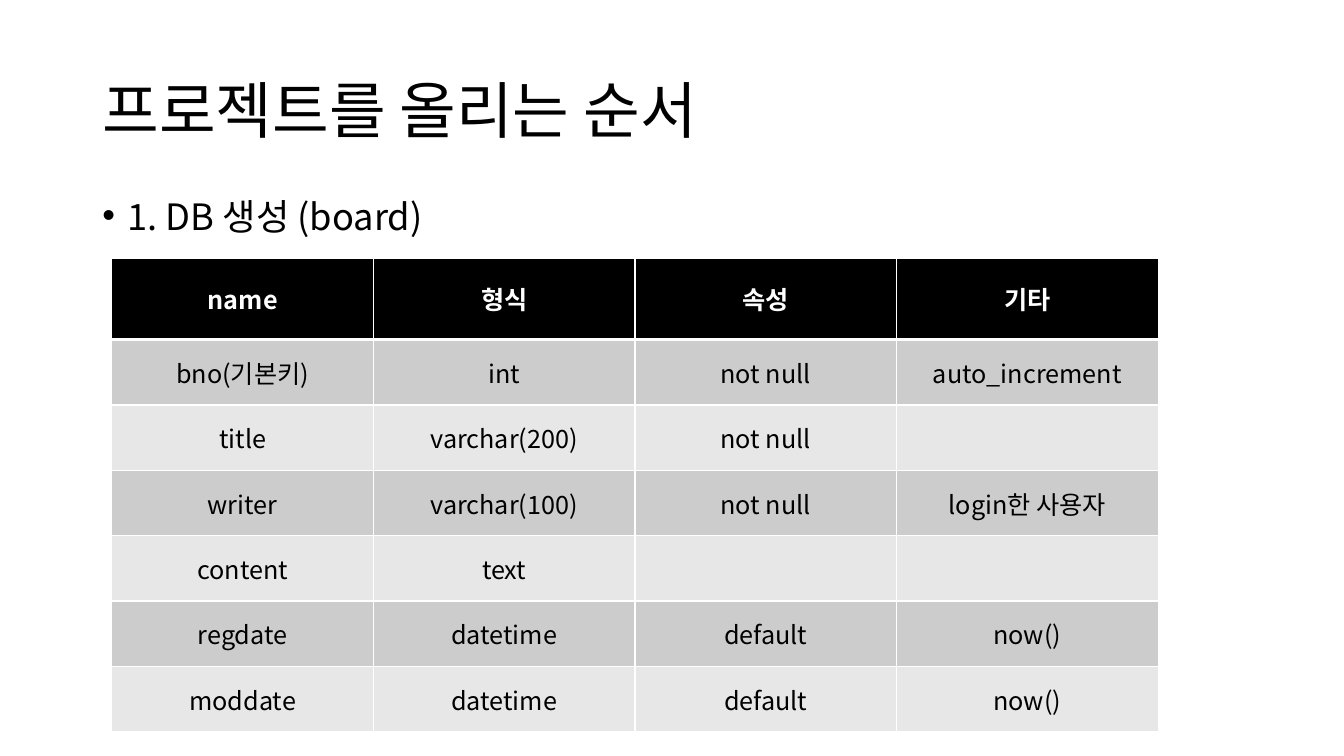
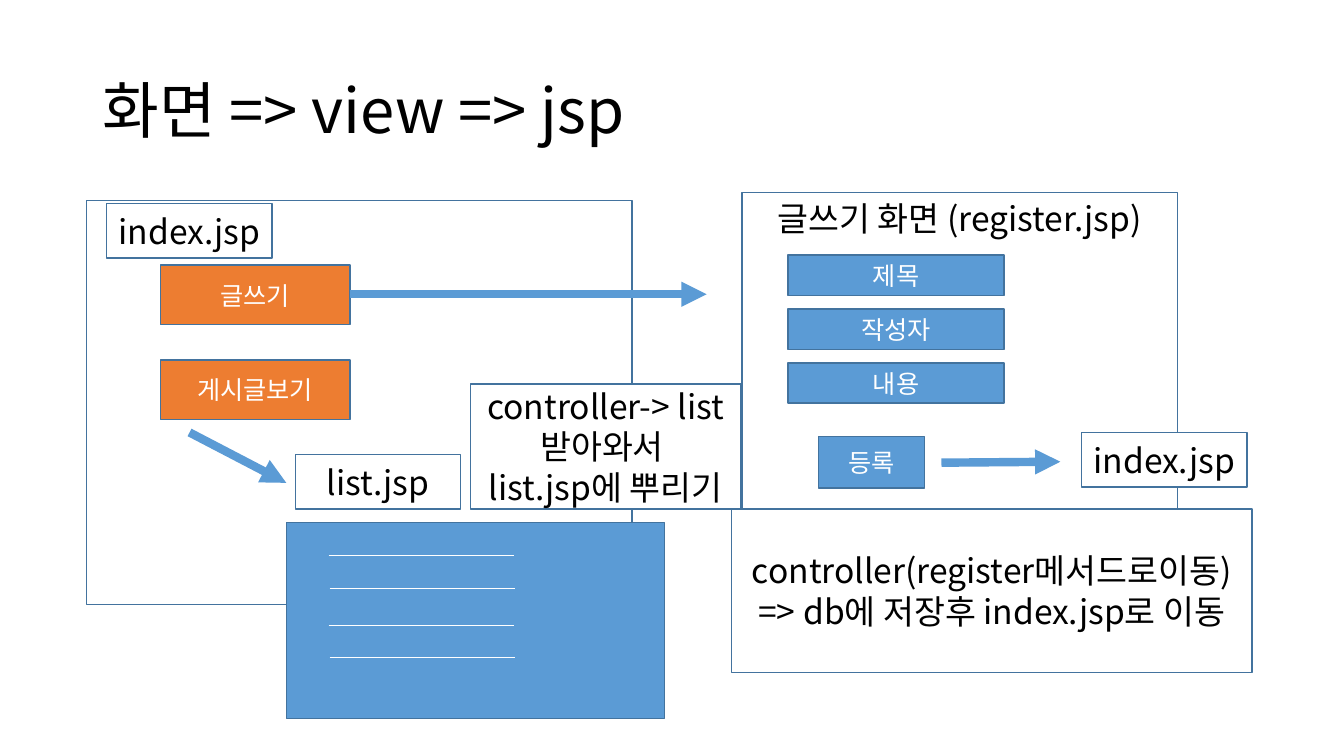
import dataclasses
import typing

import lxml.etree
import pptx
import pptx.dml.color
import pptx.enum.shapes
import pptx.enum.text
import pptx.oxml.ns
import pptx.util

Pt = pptx.util.Pt
ALIGN = pptx.enum.text.PP_ALIGN
ANCHOR = pptx.enum.text.MSO_ANCHOR
qn = pptx.oxml.ns.qn

# Shared look
FACE = "Noto Sans CJK KR"
BLACK, WHITE = "000000", "FFFFFF"
BLUE, ORANGE, EDGE = "5B9BD5", "ED7D31", "43739E"
BANDS = ("CCCCCC", "E7E7E7")
HEAD = {"size": Pt(44)}
ITEM = {"size": Pt(25.9)}
LARGE = {"size": Pt(24)}
SMALL = {"size": Pt(18)}


@dataclasses.dataclass
class Box:
    x: float
    y: float
    w: float
    h: float
    text: str = ""
    fill: str = WHITE
    ink: str = BLACK
    font: dict = dataclasses.field(default_factory=lambda: LARGE)
    anchor: typing.Any = ANCHOR.MIDDLE


@dataclasses.dataclass
class Line:
    x1: float
    y1: float
    x2: float
    y2: float
    color: str = BLUE
    width: float = 6
    arrow: bool = True


def color(code: str) -> pptx.dml.color.RGBColor:
    return pptx.dml.color.RGBColor.from_string(code)


def apply(target: typing.Any, values: dict) -> None:
    for name, value in values.items():
        setattr(target, name, value)


def paint(target: typing.Any, code: str) -> None:
    target.fill.solid()
    target.fill.fore_color.rgb = color(code)


def write(frame: typing.Any, text: str, ink: str, font: dict, para: dict) -> None:
    frame.text = text
    for part in frame.paragraphs:
        apply(part, para)
        for run in part.runs:
            apply(run.font, {"name": FACE, **font})
            run.font.color.rgb = color(ink)
            east = lxml.etree.SubElement(run._r.get_or_add_rPr(), qn("a:ea"))
            east.set("typeface", FACE)


def add_page(deck: typing.Any, text: str) -> typing.Any:
    page = deck.slides.add_slide(deck.slide_layouts[5])
    title = page.shapes.title
    apply(title, {"left": Pt(66), "top": Pt(28.8), "width": Pt(828), "height": Pt(104.4)})
    write(title.text_frame, text, BLACK, HEAD, {"alignment": ALIGN.LEFT, "line_spacing": 0.9})
    apply(title.text_frame, {"vertical_anchor": ANCHOR.MIDDLE, "word_wrap": True,
                             "auto_size": pptx.enum.text.MSO_AUTO_SIZE.NONE})
    return page


def add_item(page: typing.Any, text: str) -> None:
    frame = page.shapes.add_textbox(Pt(66), Pt(144), Pt(828), Pt(31.7)).text_frame
    frame.word_wrap = True
    write(frame, text, BLACK, ITEM, {"line_spacing": 0.7, "space_before": Pt(10)})
    props = frame.paragraphs[0]._p.get_or_add_pPr()
    props.set("marL", str(Pt(18)))
    props.set("indent", str(-Pt(18)))
    lxml.etree.SubElement(props, qn("a:buFont")).set("typeface", "Arial")
    lxml.etree.SubElement(props, qn("a:buChar")).set("char", "•")


def add_edge(cell: typing.Any, side: str, width: float) -> None:
    edge = lxml.etree.SubElement(cell._tc.get_or_add_tcPr(), qn(f"a:ln{side}"))
    edge.set("w", str(Pt(width)))
    fill = lxml.etree.SubElement(edge, qn("a:solidFill"))
    lxml.etree.SubElement(fill, qn("a:srgbClr")).set("val", WHITE)


def add_grid(page: typing.Any, rows: list) -> None:
    count = len(rows[0])
    grid = page.shapes.add_table(len(rows), count, Pt(79.9), Pt(184.3),
                                 Pt(747.4), Pt(338.4)).table
    grid.horz_banding = False
    for col in grid.columns:
        col.width = Pt(186.84)
    for r, texts in enumerate(rows):
        top = r == 0
        grid.rows[r].height = Pt(58.3 if top else 46.7)
        for c, text in enumerate(texts):
            cell = grid.cell(r, c)
            for side in "LRTB":
                thick = (top and side == "B") or (r == 1 and side == "T")
                add_edge(cell, side, 3 if thick else 1)
            paint(cell, BLACK if top else BANDS[(r - 1) % 2])
            cell.vertical_anchor = ANCHOR.MIDDLE
            write(cell.text_frame, text, WHITE if top else BLACK,
                  {**SMALL, "bold": top}, {"alignment": ALIGN.CENTER})


def add_box(page: typing.Any, box: Box) -> None:
    shape = page.shapes.add_shape(pptx.enum.shapes.MSO_SHAPE.RECTANGLE,
                                  Pt(box.x), Pt(box.y), Pt(box.w), Pt(box.h))
    shape.shadow.inherit = False
    paint(shape, box.fill)
    shape.line.color.rgb = color(EDGE)
    shape.line.width = Pt(1)
    if box.text:
        apply(shape.text_frame, {"word_wrap": True, "vertical_anchor": box.anchor})
        write(shape.text_frame, box.text, box.ink, box.font, {"alignment": ALIGN.CENTER})


def add_line(page: typing.Any, line: Line) -> None:
    link = page.shapes.add_connector(pptx.enum.shapes.MSO_CONNECTOR.STRAIGHT,
                                     Pt(line.x1), Pt(line.y1), Pt(line.x2), Pt(line.y2))
    link.line.color.rgb = color(line.color)
    link.line.width = Pt(line.width)
    if line.arrow:
        tail = lxml.etree.SubElement(link.line._get_or_add_ln(), qn("a:tailEnd"))
        tail.set("type", "triangle")
    lxml.etree.SubElement(link._element.spPr, qn("a:effectLst"))


def draw(page: typing.Any, parts: list) -> None:
    for part in parts:
        if isinstance(part, Box):
            add_box(page, part)
        else:
            add_line(page, part)


def button(x: float, y: float, w: float, h: float, text: str, fill: str = BLUE) -> Box:
    return Box(x, y, w, h, text, fill, WHITE, SMALL)


def label(x: float, y: float, text: str) -> Box:
    return Box(x, y, 118.1, 38.9, text)


deck = pptx.Presentation()
apply(deck, {"slide_width": Pt(960), "slide_height": Pt(540)})

# Slide 1: board table
page = add_page(deck, "프로젝트를 올리는 순서")
add_item(page, "1. DB 생성 (board)")
add_grid(page, [
    ["name", "형식", "속성", "기타"],
    ["bno(기본키)", "int", "not null", "auto_increment"],
    ["title", "varchar(200)", "not null", ""],
    ["writer", "varchar(100)", "not null", "login한 사용자"],
    ["content", "text", "", ""],
    ["regdate", "datetime", "default", "now()"],
    ["moddate", "datetime", "default", "now()"],
])

# Slide 2: page flow
page = add_page(deck, "화면 => view => jsp")
menu = [button(114.5, 189.4 + 67.7 * i, 135.4, 42.5, text, ORANGE)
        for i, text in enumerate(("글쓰기", "게시글보기"))]
fields = [button(563, 182.2 + 38.5 * i, 154.1, 28.8, text)
          for i, text in enumerate(("제목", "작성자", "내용"))]
posts = [Line(x, y, x + 132.5, y, WHITE, 0.5, False)
         for x, y in ((234.7, 396.7), (235.4, 420.5), (234.7, 446.4), (235.4, 469.4))]
draw(page, [
    # Index page and its menu
    Box(62, 143.3, 389.5, 288.7),
    *menu,
    Line(249.8, 210.2, 504.7, 210.2),
    # Register page
    Box(529.9, 137.5, 311, 232.6, "글쓰기 화면 (register.jsp)", anchor=ANCHOR.TOP),
    *fields,
    button(584.6, 311.8, 75.6, 36.7, "등록"),
    Line(672.5, 330.5, 757.4, 329.8),
    label(772.6, 308.9, "index.jsp"),
    label(76.3, 145.4, "index.jsp"),
    Box(522.7, 363.6, 371.5, 116.6,
        "controller(register메서드로이동) => db에 저장후 index.jsp로 이동"),
    # List page
    Line(135.4, 308.9, 204.5, 344.9),
    label(211, 324.7, "list.jsp"),
    Box(204.5, 373, 270, 140.4, fill=BLUE),
    *posts,
    Box(336.2, 274.3, 193, 89.3, "controller-> list받아와서 \nlist.jsp에 뿌리기"),
])

deck.save("out.pptx")
